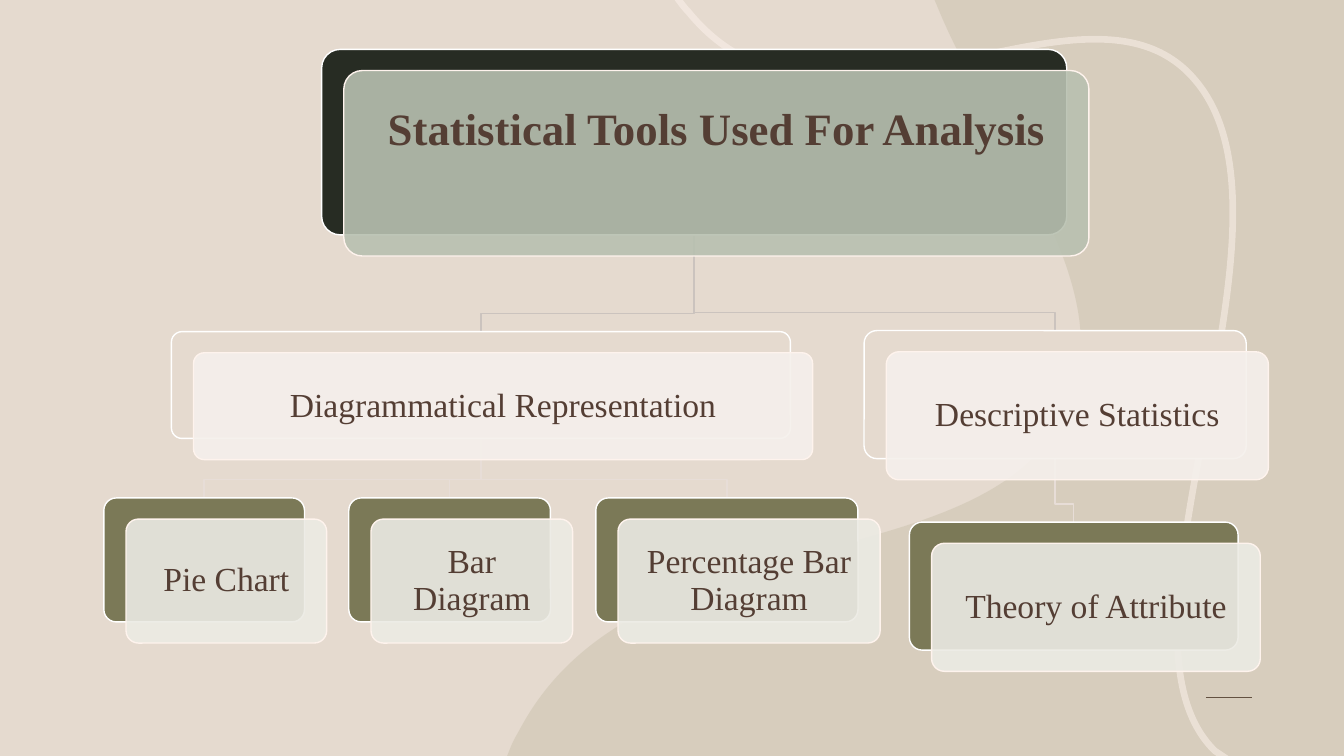
from lxml.etree import SubElement
from pptx import Presentation
from pptx.dml.color import RGBColor
from pptx.enum.shapes import MSO_CONNECTOR as Connector, MSO_SHAPE as Shape
from pptx.enum.text import MSO_ANCHOR as Anchor, PP_ALIGN as Align
from pptx.oxml.ns import qn
from pptx.util import Inches, Pt

FONT = "Times New Roman"
COLOURS = {
    "background": "E5DACF", "blob": "A09D79", "ribbon": "FEF3ED",
    "text": "543E34", "white": "FFFFFF", "card_edge": "FEF3ED",
    "root_back": "272C23", "root_front": "B8C0B0",
    "branch_back": "E5DACF", "branch_front": "F5F0EC",
    "leaf_back": "7B7957", "leaf_front": "ECEBE4",
    "branch_link": "CBC3BE", "leaf_link": "E7DDD7",
}

# Key: (level, parent, text, left, top, width, height) of the rear card
CARDS = {
    "root": ("root", None, "Statistical Tools Used For Analysis", 3.19, 0.49, 7.39, 1.84),
    "diagrams": ("branch", "root", "Diagrammatical Representation", 1.7, 3.29, 6.14, 1.06),
    "pie": ("leaf", "diagrams", "Pie Chart", 1.03, 4.94, 1.99, 1.23),
    "bar": ("leaf", "diagrams", "Bar Diagram", 3.46, 4.94, 2, 1.23),
    "percentage": ("leaf", "diagrams", "Percentage Bar Diagram", 5.91, 4.94, 2.6, 1.23),
    "descriptive": ("branch", "root", "Descriptive Statistics", 8.57, 3.28, 3.79, 1.27),
    "attribute": ("leaf", "descriptive", "Theory of Attribute", 9.02, 5.18, 3.26, 1.27),
}
FRONT_SHIFT = (0.22, 0.21)
LINK_DROP = 0.18
TEXT_INSET = 0.13
TITLE_LIFT = 0.64

# Two numbers are a corner; six are a Bézier curve
BLOB = [
    (9.27, 0), (13.33, 0), (13.33, 7.5), (5.03, 7.5), (5.07, 7.4),
    (5.11, 7.31, 5.15, 7.25, 5.17, 7.21), (6.31, 5.12, 9.62, 5.78, 10.52, 4.19),
    (11.23, 2.96, 9.88, 1.46, 9.32, 0.12),
]
RIBBON = [
    (12.17, 7.53), (12.14, 7.51), (12.05, 7.45), (10.84, 6.27, 13.07, 2.2, 11.85, 0.79),
    (10.78, -0.47, 8.2, 1.8, 6.83, 0.12), (6.8, 0.09, 6.76, 0.04, 6.71, -0.03),
]


def colour(name):
    return RGBColor.from_string(COLOURS[name])


def set_opacity(shape, part, percent):
    """Set the opacity of the fill ("p:spPr") or the line ("a:ln")."""
    paint = next(shape.element.iter(qn(part))).find(qn("a:solidFill"))
    SubElement(paint[0], qn("a:alpha"), val=str(percent * 1000))


def bend_segments(shape, outline):
    """Replace the straight segments that lead to a six-number step by curves."""
    segments = list(shape.element.iter(qn("a:lnTo")))
    for step, segment in zip(outline[1:], segments):
        if len(step) == 2:
            continue
        curve = segment.makeelement(qn("a:cubicBezTo"))
        for x, y in zip(step[::2], step[1::2]):
            SubElement(curve, qn("a:pt"),
                       x=str(Inches(x) - shape.left), y=str(Inches(y) - shape.top))
        segment.getparent().replace(segment, curve)


def add_outline(slide, outline, closed=False):
    points = [(Inches(step[-2]), Inches(step[-1])) for step in outline]
    builder = slide.shapes.build_freeform(*points[0])
    builder.add_line_segments(points[1:], close=closed)
    shape = builder.convert_to_shape()
    shape.shadow.inherit = False
    bend_segments(shape, outline)
    return shape


def add_open_line(slide, outline, line_colour, width):
    shape = add_outline(slide, outline)
    shape.fill.background()
    shape.line.color.rgb = colour(line_colour)
    shape.line.width = Pt(width)
    return shape


def add_decoration(slide):
    rule = slide.shapes.add_connector(
        Connector.STRAIGHT, Inches(11.96), Inches(6.92), Inches(12.42), Inches(6.92))
    rule.line.color.rgb = colour("text")
    rule.line.width = Pt(1.25)
    SubElement(rule.element.spPr, qn("a:effectLst"))

    blob = add_outline(slide, BLOB, closed=True)
    blob.fill.solid()
    blob.fill.fore_color.rgb = colour("blob")
    blob.line.fill.background()
    set_opacity(blob, "p:spPr", 20)

    ribbon = add_open_line(slide, RIBBON, "ribbon", 4.75)
    set_opacity(ribbon, "a:ln", 50)


def add_link(slide, parent, child):
    _, _, _, left, top, width, height = parent
    start_x, start_y = left + width / 2, top + height
    level, _, _, left, end_y, width, _ = child
    end_x, bend_y = left + width / 2, end_y - LINK_DROP
    add_open_line(
        slide, [(start_x, start_y), (start_x, bend_y), (end_x, bend_y), (end_x, end_y)],
        f"{level}_link", 1)


def add_panel(slide, left, top, width, height, fill, edge):
    panel = slide.shapes.add_shape(
        Shape.ROUNDED_RECTANGLE, Inches(left), Inches(top), Inches(width), Inches(height))
    panel.adjustments[0] = 0.1
    panel.shadow.inherit = False
    panel.fill.solid()
    panel.fill.fore_color.rgb = colour(fill)
    panel.line.color.rgb = colour(edge)
    panel.line.width = Pt(1)
    return panel


def add_card(slide, card):
    level, _, text, left, top, width, height = card
    is_title = level == "root"
    add_panel(slide, left, top, width, height, f"{level}_back", "white")
    front = add_panel(slide, left + FRONT_SHIFT[0], top + FRONT_SHIFT[1], width, height,
                      f"{level}_front", "card_edge")
    set_opacity(front, "p:spPr", 90)

    frame = front.text_frame
    frame.word_wrap = True
    frame.vertical_anchor = Anchor.MIDDLE
    frame.margin_left = frame.margin_right = frame.margin_top = Inches(TEXT_INSET)
    frame.margin_bottom = Inches(TEXT_INSET + (TITLE_LIFT if is_title else 0))
    paragraph = frame.paragraphs[0]
    paragraph.alignment = Align.CENTER
    paragraph.line_spacing = 0.9
    run = paragraph.add_run()
    run.text = text
    run.font.name = FONT
    run.font.size = Pt(32 if is_title else 24)
    run.font.bold = is_title
    run.font.color.rgb = colour("text")


def main():
    presentation = Presentation()
    presentation.slide_width = Inches(13.33)
    presentation.slide_height = Inches(7.5)
    slide = presentation.slides.add_slide(presentation.slide_layouts[6])
    slide.background.fill.solid()
    slide.background.fill.fore_color.rgb = colour("background")

    add_decoration(slide)
    for card in CARDS.values():
        if card[1]:
            add_link(slide, CARDS[card[1]], card)
    for card in CARDS.values():
        add_card(slide, card)
    presentation.save("out.pptx")


if __name__ == "__main__":
    main()
